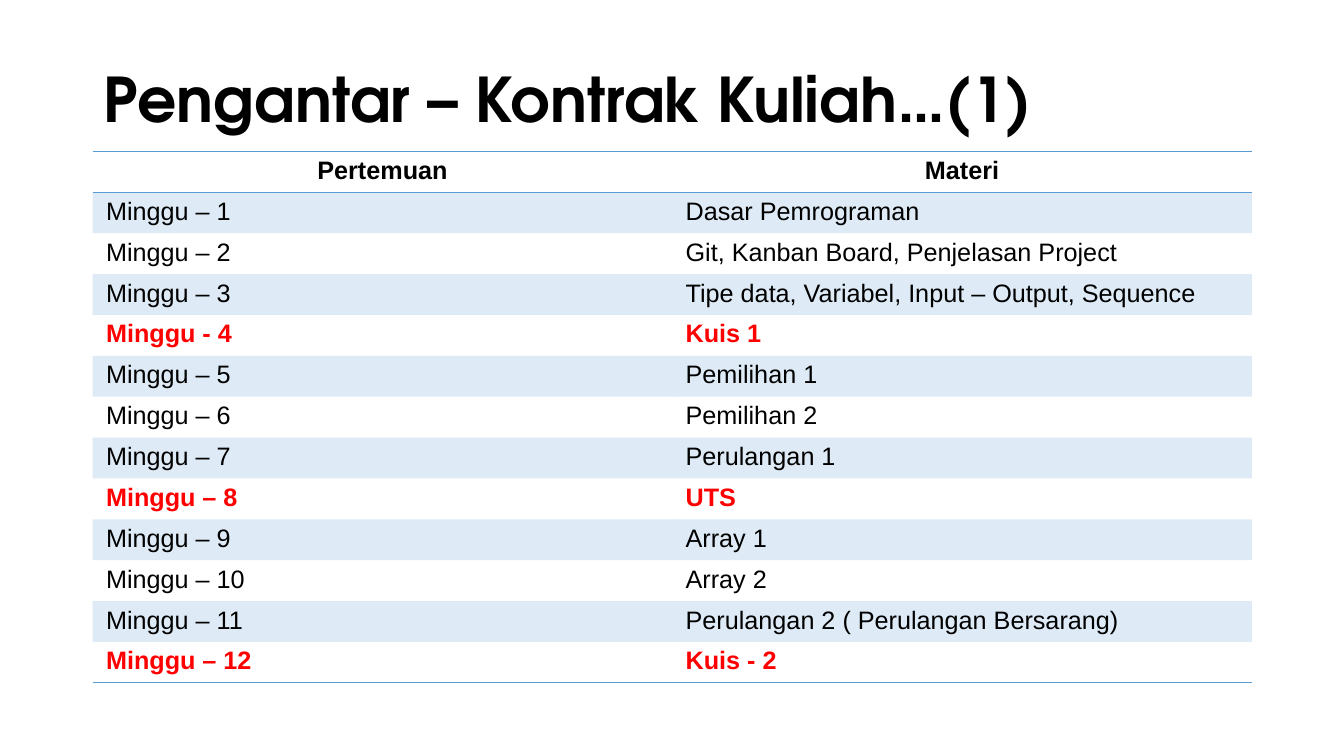
import pptx
import pptx.dml.color
import pptx.enum.text
import pptx.oxml
import pptx.oxml.ns
import pptx.util

Pt = pptx.util.Pt
ALIGN = pptx.enum.text.PP_ALIGN
ANCHOR = pptx.enum.text.MSO_ANCHOR
qn = pptx.oxml.ns.qn

BLACK = pptx.dml.color.RGBColor(0x00, 0x00, 0x00)
RED = pptx.dml.color.RGBColor(0xFF, 0x00, 0x00)
BLUE = pptx.dml.color.RGBColor(0x5B, 0x9B, 0xD5)

NO_STYLE_NO_GRID = "{2D5ABB26-0587-4C30-8999-92F81FD0307C}"
ROW_HEIGHT = 29.2
COLUMN_WIDTH = 414

SCHEDULE = [
    ("Pertemuan", "Materi"),
    ("Minggu – 1", "Dasar Pemrograman"),
    ("Minggu – 2", "Git, Kanban Board, Penjelasan Project"),
    ("Minggu – 3", "Tipe data, Variabel, Input – Output, Sequence"),
    ("Minggu - 4", "Kuis 1"),
    ("Minggu – 5", "Pemilihan 1"),
    ("Minggu – 6", "Pemilihan 2"),
    ("Minggu – 7", "Perulangan 1"),
    ("Minggu – 8", "UTS"),
    ("Minggu – 9", "Array 1"),
    ("Minggu – 10", "Array 2"),
    ("Minggu – 11", "Perulangan 2 ( Perulangan Bersarang)"),
    ("Minggu – 12", "Kuis - 2"),
]


def format_paragraph(p, name, size, color, bold, align):
    p.alignment = align
    p.font.name = name
    p.font.size = Pt(size)
    p.font.bold = bold
    p.font.color.rgb = color


def set_title(s, text):
    sp = s.shapes.title
    sp.left, sp.top, sp.width, sp.height = Pt(67), Pt(41.8), Pt(828), Pt(63.4)
    tf = sp.text_frame
    tf.text = text
    tf.vertical_anchor = ANCHOR.MIDDLE
    p = tf.paragraphs[0]
    p.line_spacing = 0.9
    format_paragraph(p, "TeX Gyre Adventor", 44, BLACK, True, ALIGN.LEFT)


def add_border(cell, tag):
    line = pptx.oxml.parse_xml(
        f'<a:{tag} xmlns:a="http://schemas.openxmlformats.org/drawingml/2006/main"'
        f' w="{Pt(1)}"><a:solidFill><a:srgbClr val="{BLUE}"/></a:solidFill></a:{tag}>'
    )
    cell.fill.background()
    tc_pr = cell.fill._xPr
    tc_pr.insert(len(tc_pr) - 1, line)


def tint(cell):
    cell.fill.solid()
    cell.fill.fore_color.rgb = BLUE
    color = next(cell.fill._xPr.iter(qn("a:srgbClr")))
    color.append(pptx.oxml.parse_xml(
        '<a:alpha xmlns:a="http://schemas.openxmlformats.org/drawingml/2006/main"'
        ' val="20000"/>'
    ))


def fill_cell(cell, text, row):
    header = row == 0
    exam = row > 0 and row % 4 == 0
    cell.text = text
    cell.margin_left = cell.margin_right = Pt(9.6)
    cell.margin_top = cell.margin_bottom = Pt(3.6)
    format_paragraph(cell.text_frame.paragraphs[0], "Arial", 18,
                     RED if exam else BLACK, header or exam,
                     ALIGN.CENTER if header else ALIGN.LEFT)
    # Rules frame the header and close the table; odd weeks are tinted
    if header:
        add_border(cell, "lnT")
    if header or row == len(SCHEDULE) - 1:
        add_border(cell, "lnB")
    if row % 2:
        tint(cell)


def add_schedule(s):
    frame = s.shapes.add_table(len(SCHEDULE), 2, Pt(66.2), Pt(108.2),
                               Pt(2 * COLUMN_WIDTH), Pt(len(SCHEDULE) * ROW_HEIGHT))
    table = frame.table
    table.horz_banding = False
    next(frame.element.iter(qn("a:tableStyleId"))).text = NO_STYLE_NO_GRID
    for column in table.columns:
        column.width = Pt(COLUMN_WIDTH)
    for row, texts in enumerate(SCHEDULE):
        table.rows[row].height = Pt(ROW_HEIGHT)
        for col, text in enumerate(texts):
            fill_cell(table.cell(row, col), text, row)


def main():
    prs = pptx.Presentation()
    prs.slide_width, prs.slide_height = Pt(960), Pt(540)
    # Title-only slide
    s = prs.slides.add_slide(prs.slide_layouts[5])
    set_title(s, "Pengantar – Kontrak Kuliah…(1)")
    # Weekly schedule
    add_schedule(s)
    prs.save("out.pptx")


if __name__ == "__main__":
    main()
